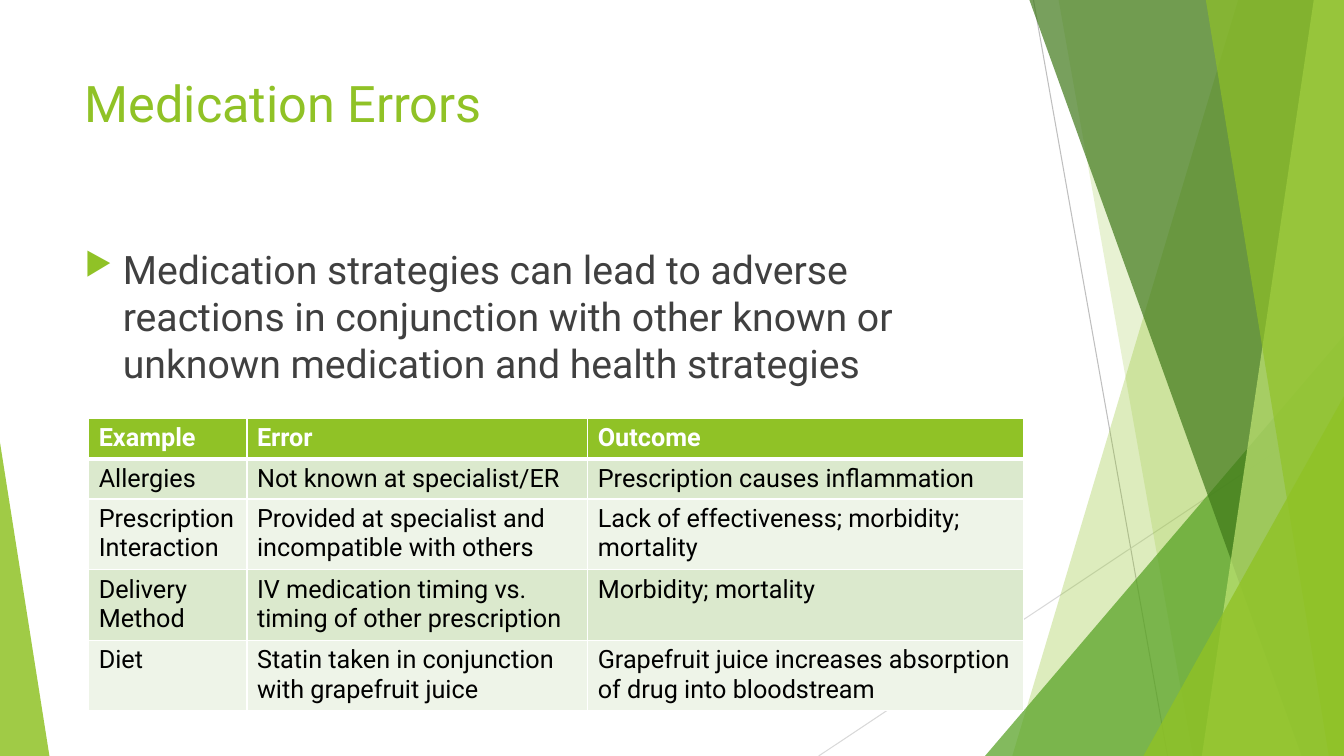
"""Build the Medication Errors slide with its faceted green border and table."""
from dataclasses import dataclass

from lxml import etree
from pptx import Presentation
from pptx.dml.color import RGBColor
from pptx.enum.shapes import MSO_CONNECTOR, MSO_SHAPE
from pptx.enum.text import MSO_ANCHOR, PP_ALIGN
from pptx.oxml.ns import qn
from pptx.util import Inches, Pt

STRAIGHT = MSO_CONNECTOR.STRAIGHT
TRIANGLE = MSO_SHAPE.ISOSCELES_TRIANGLE
TOP = MSO_ANCHOR.TOP
LEFT = PP_ALIGN.LEFT


@dataclass(frozen=True)
class Theme:
    font: str = "Roboto"
    accent: str = "90C226"
    leaf: str = "54A021"
    forest: str = "3F7819"
    lime: str = "C0E474"
    body: str = "404040"
    cell: str = "000000"
    white: str = "FFFFFF"
    bands: tuple = ("DBE9CD", "EEF4E8")
    rays: tuple = ("BFBFBF", "D9D9D9")
    title_size: int = 36
    body_size: int = 28
    table_size: int = 18


THEME = Theme()
WIDTH, HEIGHT = 13.33, 7.5

TITLE = "Medication Errors"
STATEMENT = ("Medication strategies can lead to adverse reactions in conjunction "
             "with other known or unknown medication and health strategies")
ERRORS = [
    ("Example", "Error", "Outcome"),
    ("Allergies", "Not known at specialist/ER", "Prescription causes inflammation"),
    ("Prescription Interaction", "Provided at specialist and incompatible with others",
     "Lack of effectiveness; morbidity; mortality"),
    ("Delivery Method", "IV medication timing vs. timing of other prescription",
     "Morbidity; mortality"),
    ("Diet", "Statin taken in conjunction with grapefruit juice",
     "Grapefruit juice increases absorption of drug into bloodstream"),
]
COLUMN_WIDTHS = (1.57, 3.38, 4.32)
ONE_LINE, TWO_LINES = 0.4, 0.68
ROW_HEIGHTS = (ONE_LINE,) * 2 + (TWO_LINES,) * 3
TABLE_LEFT, TABLE_TOP = 0.88, 4.15
TEXT_LEFT, TEXT_WIDTH = 0.74, 9.4
TITLE_TOP, TITLE_HEIGHT = 0.67, 1.44
STATEMENT_TOP, STATEMENT_HEIGHT = 2.38, 1.6
HANG = 0.38

RAYS = [((10.25, 0), (11.58, HEIGHT)), ((WIDTH, 4.03), (8.12, HEIGHT))]

# Bands: top x, bottom x. Wedges: left, top, width, apex share.
FACETS = [
    ("band", (12.28, 10.04), THEME.accent, 30),
    ("band", (10.5, 11.83), THEME.accent, 20),
    ("wedge", (9.77, 3.33, 3.56, 1), THEME.leaf, 72),
    ("band", (10.21, 12.91), THEME.forest, 70),
    ("band", (13.03, 11.92), THEME.lime, 70),
    ("band", (11.96, 13.18), THEME.accent, 65),
    ("wedge", (11.34, 3.93, 1.99, 1), THEME.accent, 80),
    ("wedge", (0, 4.39, 0.49, 0), THEME.accent, 85),
]


def rgb(color):
    return RGBColor.from_string(color)


def style(paragraph, size, color, bold=False):
    paragraph.alignment = LEFT
    font = paragraph.font
    font.name, font.size, font.bold = THEME.font, Pt(size), bold
    font.color.rgb = rgb(color)


def add_ray(shapes, start, end, color):
    ray = shapes.add_connector(STRAIGHT, *map(Inches, start + end))
    ray.line.color.rgb = rgb(color)
    ray.line.width = Pt(0.75)
    etree.SubElement(ray._element.spPr, qn("a:effectLst"))


def add_facet(shapes, kind, geometry, color, opacity):
    if kind == "band":
        top_x, bottom_x = geometry
        corners = [(WIDTH, 0), (WIDTH, HEIGHT), (bottom_x, HEIGHT)]
        outline = shapes.build_freeform(Inches(top_x), 0)
        outline.add_line_segments([(Inches(x), Inches(y)) for x, y in corners])
        facet = outline.convert_to_shape()
    else:
        left, top, width, apex = geometry
        facet = shapes.add_shape(
            TRIANGLE, *map(Inches, (left, top, width, HEIGHT - top)))
        facet.adjustments[0] = apex
    facet.shadow.inherit = False
    facet.line.fill.background()
    facet.fill.solid()
    facet.fill.fore_color.rgb = rgb(color)
    tint = facet._element.spPr.find(qn("a:solidFill"))[0]
    etree.SubElement(tint, qn("a:alpha"), val=str(opacity * 1000))


def add_statement(shapes):
    frame = shapes.add_textbox(*map(Inches, (
        TEXT_LEFT, STATEMENT_TOP, TEXT_WIDTH, STATEMENT_HEIGHT))).text_frame
    frame.word_wrap = True
    paragraph = frame.paragraphs[0]
    paragraph.text = STATEMENT
    properties = paragraph._p.get_or_add_pPr()
    properties.set("marL", str(Inches(HANG)))
    properties.set("indent", str(-Inches(HANG)))
    bullet_color = etree.SubElement(properties, qn("a:buClr"))
    etree.SubElement(bullet_color, qn("a:srgbClr"), val=THEME.accent)
    etree.SubElement(properties, qn("a:buSzPct"), val="80000")
    etree.SubElement(properties, qn("a:buChar"), char="▶")
    style(paragraph, THEME.body_size, THEME.body)


def add_borders(cell, row):
    properties = cell._tc.get_or_add_tcPr()
    weights = {"L": 1, "R": 1, "T": 3 if row == 1 else 1, "B": 3 if row == 0 else 1}
    for side, weight in weights.items():
        border = etree.SubElement(properties, qn(f"a:ln{side}"), w=str(Pt(weight)))
        fill = etree.SubElement(border, qn("a:solidFill"))
        etree.SubElement(fill, qn("a:srgbClr"), val=THEME.white)


def add_errors(shapes):
    table = shapes.add_table(len(ERRORS), len(COLUMN_WIDTHS), *map(Inches, (
        TABLE_LEFT, TABLE_TOP, sum(COLUMN_WIDTHS), sum(ROW_HEIGHTS)))).table
    for column, width in zip(table.columns, COLUMN_WIDTHS):
        column.width = Inches(width)
    for row, (texts, height) in enumerate(zip(ERRORS, ROW_HEIGHTS)):
        table.rows[row].height = Inches(height)
        header = row == 0
        for column, text in enumerate(texts):
            cell = table.cell(row, column)
            cell.text = text
            add_borders(cell, row)
            cell.fill.solid()
            cell.fill.fore_color.rgb = rgb(
                THEME.accent if header else THEME.bands[(row - 1) % 2])
            style(cell.text_frame.paragraphs[0], THEME.table_size,
                  THEME.white if header else THEME.cell, header)


def main():
    deck = Presentation()
    deck.slide_width, deck.slide_height = Inches(WIDTH), Inches(HEIGHT)
    slide = deck.slides.add_slide(deck.slide_layouts[5])
    shapes = slide.shapes
    for (start, end), color in zip(RAYS, THEME.rays):
        add_ray(shapes, start, end, color)
    for facet in FACETS:
        add_facet(shapes, *facet)
    title = shapes.title
    title.left, title.top, title.width, title.height = map(
        Inches, (TEXT_LEFT, TITLE_TOP, TEXT_WIDTH, TITLE_HEIGHT))
    title.text_frame.text = TITLE
    title.text_frame.vertical_anchor = TOP
    style(title.text_frame.paragraphs[0], THEME.title_size, THEME.accent)
    add_statement(shapes)
    add_errors(shapes)
    deck.save("out.pptx")


if __name__ == "__main__":
    main()
